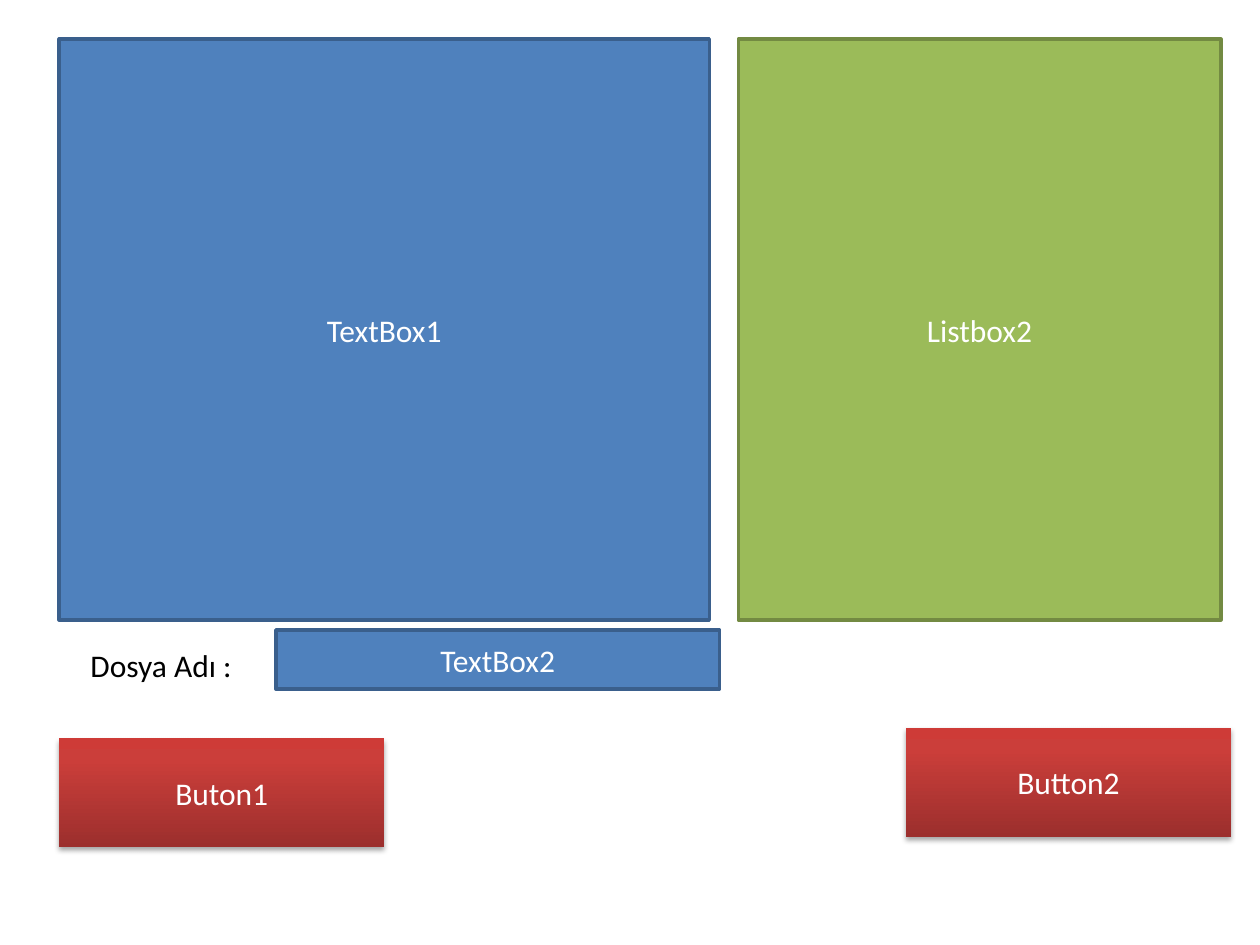
from dataclasses import dataclass

from lxml import etree
from pptx import Presentation
from pptx.dml.color import RGBColor
from pptx.enum import shapes, text
from pptx.oxml import ns
from pptx.util import Inches, Pt


@dataclass(frozen=True)
class Theme:
    font: str = "Calibri"
    size: int = 18
    edge: int = 2
    white: str = "FFFFFF"
    black: str = "000000"
    blue: tuple = ("4F81BD", "3A5F8C")
    green: tuple = ("9BBB59", "738A42")
    red: tuple = ((0, "9C2F2D"), (80, "CB3E3A"), (100, "CE3B37"))


theme = Theme()


def style(frame, words, color):
    frame.text = words
    font = frame.paragraphs[0].runs[0].font
    font.name, font.size = theme.font, Pt(theme.size)
    font.color.rgb = RGBColor.from_string(color)


def add(parent, tag, **attrs):
    """Append a drawing element such as a:gs and return it."""
    node = etree.SubElement(parent, ns.qn(tag))
    for key, value in attrs.items():
        node.set(key, str(value))
    return node


deck = Presentation()
deck.slide_width, deck.slide_height = Inches(10), Inches(7.5)
slide = deck.slides.add_slide(deck.slide_layouts[6])

# Form fields and buttons: label, left, top, width, height, colours
panels = [
    ("TextBox1", 0.47, 0.31, 5.16, 4.61, theme.blue),
    ("Buton1", 0.47, 5.86, 2.58, 0.86, theme.red),
    ("Button2", 7.19, 5.78, 2.58, 0.86, theme.red),
    ("TextBox2", 2.19, 5, 3.52, 0.47, theme.blue),
    ("Listbox2", 5.86, 0.31, 3.83, 4.61, theme.green),
]
for words, *place, colors in panels:
    box = slide.shapes.add_shape(
        shapes.MSO_SHAPE.RECTANGLE, *[Inches(n) for n in place])
    box.shadow.inherit = False
    style(box.text_frame, words, theme.white)
    box.text_frame.vertical_anchor = text.MSO_ANCHOR.MIDDLE
    box.text_frame.paragraphs[0].alignment = text.PP_ALIGN.CENTER

    if colors is not theme.red:
        fill, edge = colors
        box.fill.solid()
        box.fill.fore_color.rgb = RGBColor.from_string(fill)
        box.line.color.rgb = RGBColor.from_string(edge)
        box.line.width = Pt(theme.edge)
        continue

    # Buttons have a vertical gradient and a soft shadow below
    box.line.fill.background()
    box.fill.gradient()
    box.fill.gradient_angle = 90
    props = box.element.spPr
    stops = props.find(ns.qn("a:gradFill")).find(ns.qn("a:gsLst"))
    for stop in list(stops):
        stops.remove(stop)
    for pos, color in colors:
        add(add(stops, "a:gs", pos=pos * 1000), "a:srgbClr", val=color)
    shade = add(props.find(ns.qn("a:effectLst")), "a:outerShdw",
                blurRad=Pt(3.1), dist=Pt(1.8), dir=90 * 60000, rotWithShape=0)
    tone = add(shade, "a:srgbClr", val=theme.black)
    add(tone, "a:alpha", val=35000)

# File name label
label = slide.shapes.add_textbox(
    Inches(0.62), Inches(5.08), Inches(1.34), Inches(0.4))
label.text_frame.word_wrap = False
label.text_frame.auto_size = text.MSO_AUTO_SIZE.SHAPE_TO_FIT_TEXT
style(label.text_frame, "Dosya Adı :", theme.black)

deck.save("out.pptx")
